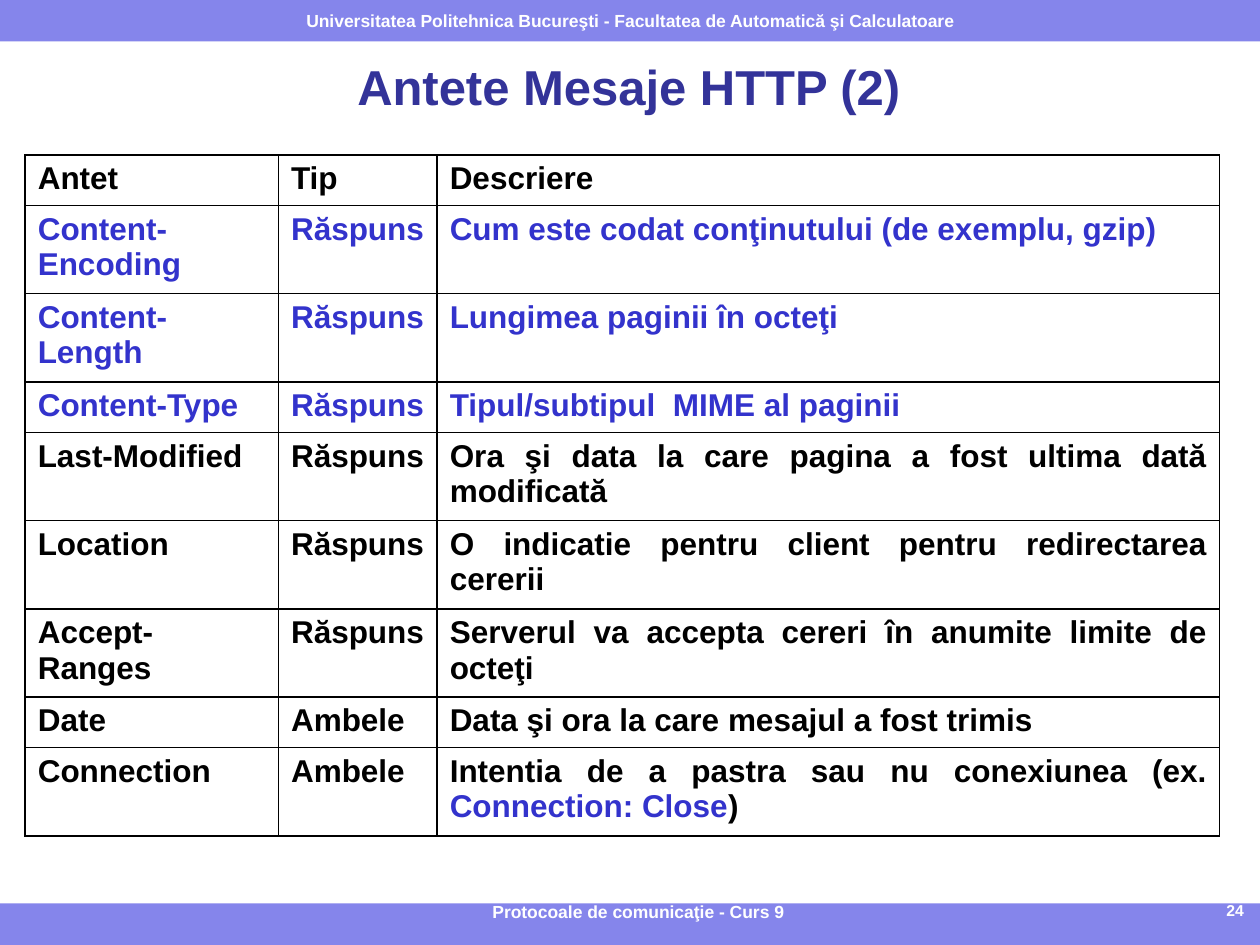
from lxml import etree
from pptx import Presentation
from pptx.dml.color import RGBColor
from pptx.enum import shapes, text
from pptx.oxml import ns
from pptx.util import Inches, Pt

WHITE, BLACK, BLUE, NAVY, BAND = "FFFFFF", "000000", "3333CC", "333399", "8585EB"
ALIGN = text.PP_ALIGN


def color(value):
    return RGBColor.from_string(value)


def write(frame, runs, size, align):
    """Fill the first paragraph with (wording, colour) runs."""
    paragraph = frame.paragraphs[0]
    paragraph.alignment = align
    for wording, ink in runs:
        run = paragraph.add_run()
        run.text = wording
        for name, value in {"name": "Arial", "size": Pt(size), "bold": True}.items():
            setattr(run.font, name, value)
        run.font.color.rgb = color(ink)


presentation = Presentation()
presentation.slide_width, presentation.slide_height = Inches(10), Inches(7.5)
slide = presentation.slides.add_slide(presentation.slide_layouts[6])

# Bands at the bottom and the top
for top in (7.17, 0):
    band = slide.shapes.add_shape(
        shapes.MSO_SHAPE.RECTANGLE, 0, Inches(top), Inches(10), Inches(0.33))
    band.shadow.inherit = False
    band.fill.solid()
    band.fill.fore_color.rgb = color(BAND)
    band.line.fill.background()
band.text_frame.word_wrap = False
band.text_frame.vertical_anchor = text.MSO_ANCHOR.MIDDLE
write(band.text_frame,
      [("Universitatea Politehnica Bucureşti - Facultatea de Automatică şi Calculatoare", WHITE)],
      10, ALIGN.CENTER)

# Title, page number and footer
labels = [
    ("Antete Mesaje HTTP (2)", (0.42, 0.45, 9.14, 0.47), 28, NAVY, ALIGN.CENTER, text.MSO_ANCHOR.MIDDLE, 0.05),
    ("24", (7.67, 7.15, 2.3, 0.3), 9, WHITE, ALIGN.RIGHT, text.MSO_ANCHOR.TOP, 0),
    ("Protocoale de comunicaţie - Curs 9", (2.58, 7.15, 4.97, 0.3), 10, WHITE, ALIGN.CENTER, text.MSO_ANCHOR.TOP, 0),
]
for wording, place, size, ink, align, anchor, margin in labels:
    frame = slide.shapes.add_textbox(*map(Inches, place)).text_frame
    for name, value in {"word_wrap": True, "vertical_anchor": anchor,
                        "margin_top": Inches(margin)}.items():
        setattr(frame, name, value)
    write(frame, [(wording, ink)], size, align)

# Table of headers: name, type, description, colour
rows = [
    ("Antet", "Tip", "Descriere", BLACK),
    ("Content-Encoding", "Răspuns", "Cum este codat conţinutului (de exemplu, gzip)", BLUE),
    ("Content-Length", "Răspuns", "Lungimea paginii în octeţi", BLUE),
    ("Content-Type", "Răspuns", "Tipul/subtipul  MIME al paginii", BLUE),
    ("Last-Modified", "Răspuns", "Ora şi data la care pagina a fost ultima dată modificată", BLACK),
    ("Location", "Răspuns", "O indicatie pentru client pentru redirectarea cererii", BLACK),
    ("Accept-Ranges", "Răspuns", "Serverul va accepta cereri în anumite limite de octeţi", BLACK),
    ("Date", "Ambele", "Data şi ora la care mesajul a fost trimis", BLACK),
    ("Connection", "Ambele", "Intentia de a pastra sau nu conexiunea (ex. ", BLACK),
]
widths = (2.01, 1.26, 6.21)
single_line_rows = (0, 3, 7)
wrapped_names = ("Content-Encoding", "Content-Length", "Accept-Ranges")

table = slide.shapes.add_table(
    len(rows), len(widths), Inches(0.2), Inches(1.23), Inches(9.48), Inches(5.4)).table
table.first_row = table.horz_banding = False
for column, width in zip(table.columns, widths):
    column.width = Inches(width)

for row_index, (*wordings, ink) in enumerate(rows):
    table.rows[row_index].height = Inches(0.4 if row_index in single_line_rows else 0.7)
    for column_index, wording in enumerate(wordings):
        cell = table.cell(row_index, column_index)
        runs = [(wording, ink)]
        if wording.endswith("(ex. "):
            runs += [("Connection: Close", BLUE), (")", BLACK)]
        left = row_index == 0 or wording in wrapped_names
        write(cell.text_frame, runs, 18, ALIGN.LEFT if left else ALIGN.JUSTIFY)

        # Borders come before the fill in the cell properties
        properties = cell._tc.get_or_add_tcPr()
        for side in ("lnL", "lnR", "lnT", "lnB"):
            border = etree.SubElement(properties, ns.qn("a:" + side), w=str(Pt(1)))
            fill = etree.SubElement(border, ns.qn("a:solidFill"))
            etree.SubElement(fill, ns.qn("a:srgbClr"), val=BLACK)
        cell.fill.background()

presentation.save("out.pptx")
